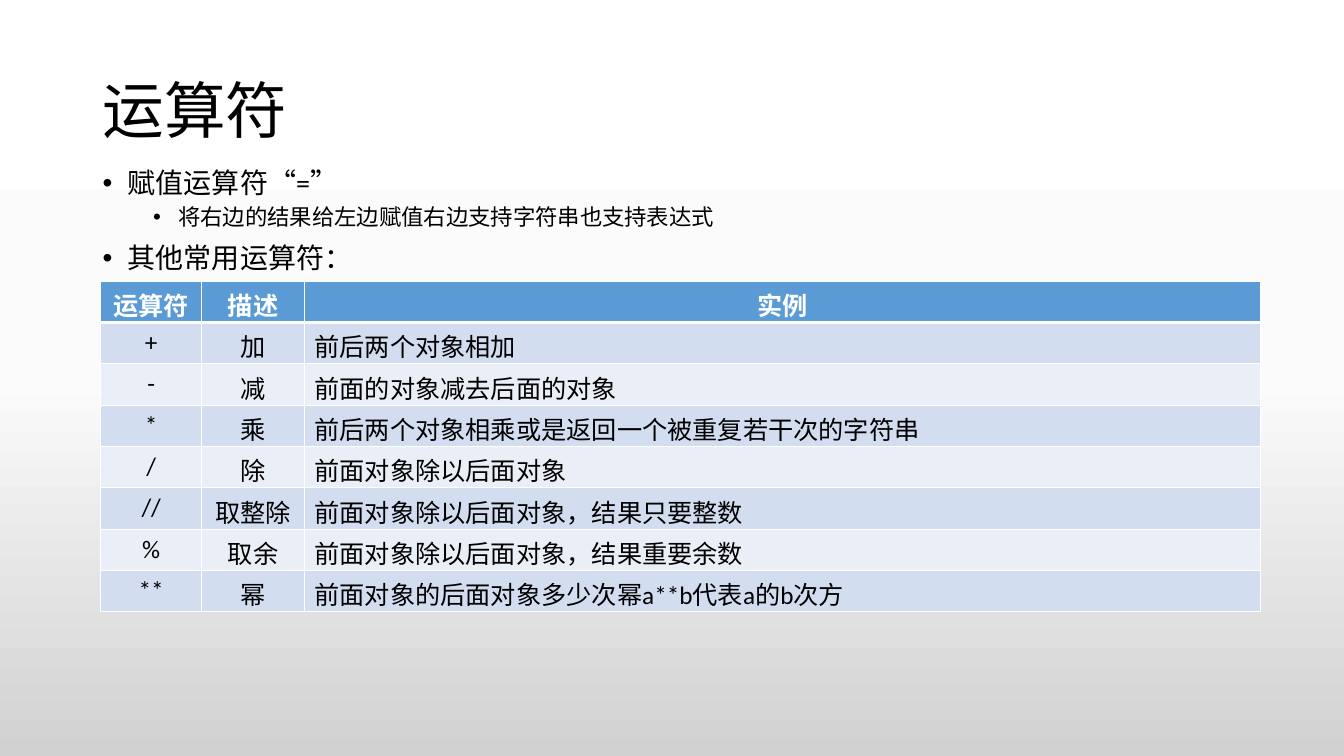
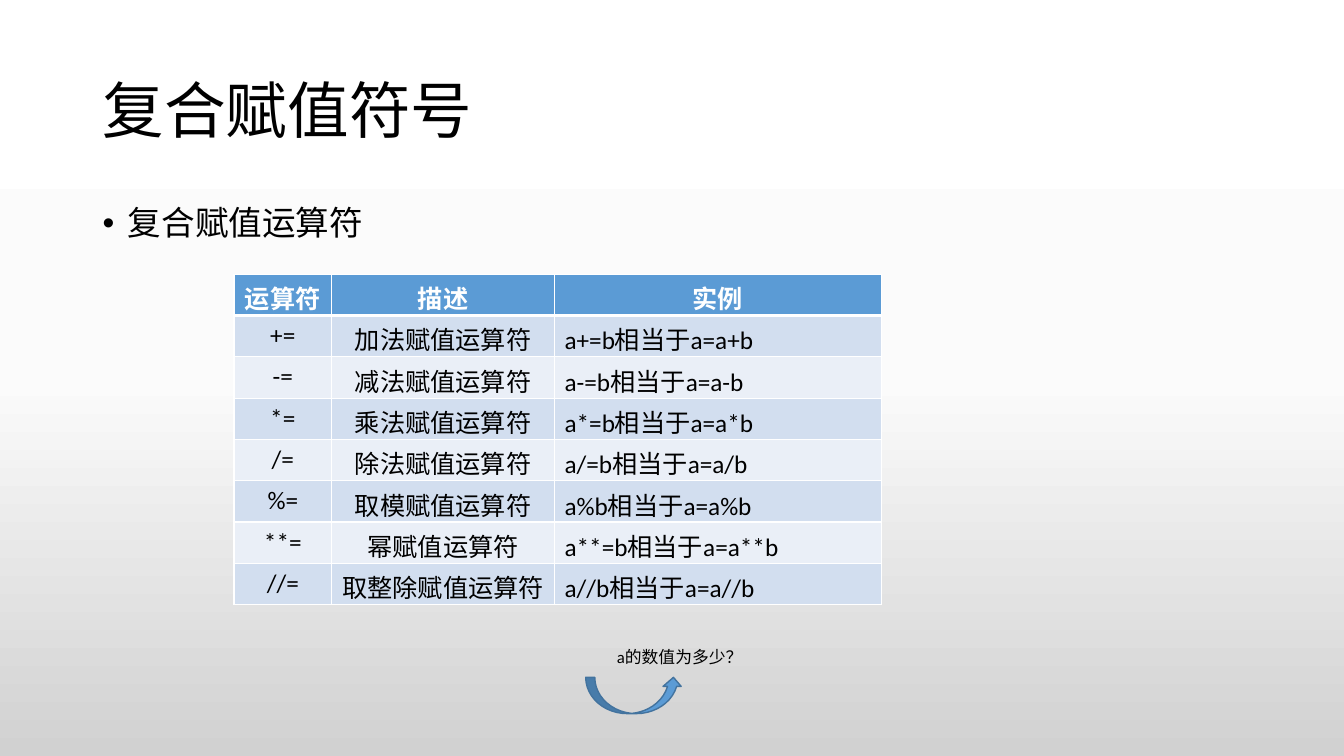
"""Build two slides on arithmetic and compound assignment operators."""
import copy
from dataclasses import dataclass

import lxml.etree
import pptx
import pptx.dml.color
import pptx.enum.shapes
import pptx.enum.text
import pptx.oxml.ns
import pptx.presentation
import pptx.slide
import pptx.table
import pptx.text.text
import pptx.util

Inches = pptx.util.Inches
Pt = pptx.util.Pt
RGBColor = pptx.dml.color.RGBColor
Align = pptx.enum.text.PP_ALIGN
qn = pptx.oxml.ns.qn

FONT = "Calibri"
BLACK = RGBColor(0x00, 0x00, 0x00)
WHITE = RGBColor(0xFF, 0xFF, 0xFF)
HEADER_BLUE = RGBColor(0x5B, 0x9B, 0xD5)
ARROW_EDGE = RGBColor(0x43, 0x73, 0x9E)
BANDS = (RGBColor(0xD2, 0xDE, 0xEF), RGBColor(0xEA, 0xEF, 0xF7))
BACKDROP = ((0, WHITE), (0.5, RGBColor(0xFB, 0xFB, 0xFB)), (1, RGBColor(0xD1, 0xD1, 0xD1)))

MARGIN, CONTENT_WIDTH = Inches(0.92), Inches(11.5)
ROW_HEIGHT = Inches(0.41)
HEADINGS = ("运算符", "描述", "实例")


@dataclass(frozen=True)
class Bullet:
    text: str
    size: int
    level: int = 0


@dataclass(frozen=True)
class OperatorTable:
    left: float
    top: float
    columns: tuple[float, ...]
    rows: tuple[tuple[str, str, str], ...]


@dataclass(frozen=True)
class Lesson:
    title: str
    bullets_top: float
    bullets: tuple[Bullet, ...]
    operators: OperatorTable


ARITHMETIC = Lesson(
    "运算符",
    1.63,
    (
        Bullet("赋值运算符“=”", 20),
        Bullet("将右边的结果给左边赋值右边支持字符串也支持表达式", 16, 1),
        Bullet("其他常用运算符：", 20),
    ),
    OperatorTable(1, 2.79, (1, 1.02, 9.48), (
        ("+", "加", "前后两个对象相加"),
        ("-", "减", "前面的对象减去后面的对象"),
        ("*", "乘", "前后两个对象相乘或是返回一个被重复若干次的字符串"),
        ("/", "除", "前面对象除以后面对象"),
        ("//", "取整除", "前面对象除以后面对象，结果只要整数"),
        ("%", "取余", "前面对象除以后面对象，结果重要余数"),
        ("**", "幂", "前面对象的后面对象多少次幂a**b代表a的b次方"),
    )),
)
COMPOUND = Lesson(
    "复合赋值符号",
    2,
    (Bullet("复合赋值运算符", 24),),
    OperatorTable(2.32, 2.72, (0.97, 2.21, 3.24), (
        ("+=", "加法赋值运算符", "a+=b相当于a=a+b"),
        ("-=", "减法赋值运算符", "a-=b相当于a=a-b"),
        ("*=", "乘法赋值运算符", "a*=b相当于a=a*b"),
        ("/=", "除法赋值运算符", "a/=b相当于a=a/b"),
        ("%=", "取模赋值运算符", "a%b相当于a=a%b"),
        ("**=", "幂赋值运算符", "a**=b相当于a=a**b"),
        ("//=", "取整除赋值运算符", "a//b相当于a=a//b"),
    )),
)


def write(paragraph: pptx.text.text._Paragraph, text: str, size: int,
          color: RGBColor = BLACK, bold: bool = False) -> None:
    """Put styled text in a paragraph."""
    paragraph.text = text
    font = paragraph.font
    font.name, font.size, font.bold = FONT, Pt(size), bold
    font.color.rgb = color


def set_backdrop(deck: pptx.presentation.Presentation) -> None:
    """Give the slide master its vertical three-stop gradient."""
    master = deck.slide_master
    fill = master.background.fill
    fill.gradient()
    fill.gradient_angle = 270
    stop_list = master.element.find(".//" + qn("a:gsLst"))
    stop_list.append(copy.deepcopy(stop_list[-1]))
    for stop, (position, color) in zip(fill.gradient_stops, BACKDROP):
        stop.position = position
        stop.color.rgb = color


def add_title(slide: pptx.slide.Slide, title: str) -> None:
    """Draw the slide title."""
    frame = slide.shapes.add_textbox(MARGIN, Inches(0.4), CONTENT_WIDTH, Inches(1.45)).text_frame
    frame.word_wrap = True
    frame.vertical_anchor = pptx.enum.text.MSO_ANCHOR.MIDDLE
    write(frame.paragraphs[0], title, 44)
    frame.paragraphs[0].line_spacing = 0.9


def add_bullets(slide: pptx.slide.Slide, top: float, bullets: tuple[Bullet, ...]) -> None:
    """Draw the bulleted text."""
    frame = slide.shapes.add_textbox(MARGIN, Inches(top), CONTENT_WIDTH, Inches(4.76)).text_frame
    frame.word_wrap = True
    for index, bullet in enumerate(bullets):
        paragraph = frame.add_paragraph() if index else frame.paragraphs[0]
        write(paragraph, bullet.text, bullet.size)
        paragraph.level = bullet.level
        paragraph.line_spacing = 0.9
        paragraph.space_before = Pt(5 if bullet.level else 10)
        properties = paragraph.font._element.getparent()
        properties.set("marL", str(Inches(0.25 + 0.5 * bullet.level)))
        properties.set("indent", str(Inches(-0.25)))
        marker_font = lxml.etree.Element(qn("a:buFont"), typeface="Arial")
        marker = lxml.etree.Element(qn("a:buChar"), char="•")
        for element in (marker_font, marker):
            properties.find(qn("a:defRPr")).addprevious(element)


def set_borders(cell: pptx.table._Cell, top: float, bottom: float) -> None:
    """Give a cell white borders, with 1 pt sides."""
    properties = cell._tc.get_or_add_tcPr()
    edges = (("a:lnL", 1), ("a:lnR", 1), ("a:lnT", top), ("a:lnB", bottom))
    for index, (tag, width) in enumerate(edges):
        line = lxml.etree.Element(qn(tag), w=str(Pt(width)))
        solid = lxml.etree.SubElement(line, qn("a:solidFill"))
        lxml.etree.SubElement(solid, qn("a:srgbClr"), val=str(WHITE))
        properties.insert(index, line)


def add_operators(slide: pptx.slide.Slide, operators: OperatorTable) -> None:
    """Draw the banded operator table."""
    rows = (HEADINGS, *operators.rows)
    table = slide.shapes.add_table(
        len(rows), len(HEADINGS), Inches(operators.left), Inches(operators.top),
        Inches(sum(operators.columns)), ROW_HEIGHT * len(rows)).table
    table.horz_banding = False
    for column, width in zip(table.columns, operators.columns):
        column.width = Inches(width)
    for row_index, row in enumerate(rows):
        header = row_index == 0
        for column_index, text in enumerate(row):
            cell = table.cell(row_index, column_index)
            cell.fill.solid()
            cell.fill.fore_color.rgb = HEADER_BLUE if header else BANDS[(row_index - 1) % 2]
            set_borders(cell, top=3 if row_index == 1 else 1, bottom=3 if header else 1)
            paragraph = cell.text_frame.paragraphs[0]
            write(paragraph, text, 18, WHITE if header else BLACK, header)
            paragraph.alignment = Align.CENTER if header or column_index < 2 else Align.LEFT


def add_question(slide: pptx.slide.Slide) -> None:
    """Draw the closing question and its curved arrow."""
    frame = slide.shapes.add_textbox(Inches(6.02), Inches(6.37), Inches(1.47), Inches(0.3)).text_frame
    frame.word_wrap = False
    frame.auto_size = pptx.enum.text.MSO_AUTO_SIZE.SHAPE_TO_FIT_TEXT
    write(frame.paragraphs[0], "a的数值为多少？", 12)
    arrow = slide.shapes.add_shape(
        pptx.enum.shapes.MSO_SHAPE.CURVED_UP_ARROW,
        Inches(5.81), Inches(6.72), Inches(0.96), Inches(0.36))
    arrow.shadow.inherit = False
    arrow.fill.solid()
    arrow.fill.fore_color.rgb = HEADER_BLUE
    arrow.line.color.rgb = ARROW_EDGE
    arrow.line.width = Pt(1)


def add_lesson(deck: pptx.presentation.Presentation, lesson: Lesson) -> pptx.slide.Slide:
    """Add one slide with its title, bullets and table."""
    slide = deck.slides.add_slide(deck.slide_layouts[6])
    add_title(slide, lesson.title)
    add_bullets(slide, lesson.bullets_top, lesson.bullets)
    add_operators(slide, lesson.operators)
    return slide


def main() -> None:
    """Build and save the deck."""
    deck = pptx.Presentation()
    deck.slide_width, deck.slide_height = Inches(13.33), Inches(7.5)
    set_backdrop(deck)
    add_lesson(deck, ARITHMETIC)
    add_question(add_lesson(deck, COMPOUND))
    deck.save("out.pptx")


if __name__ == "__main__":
    main()
